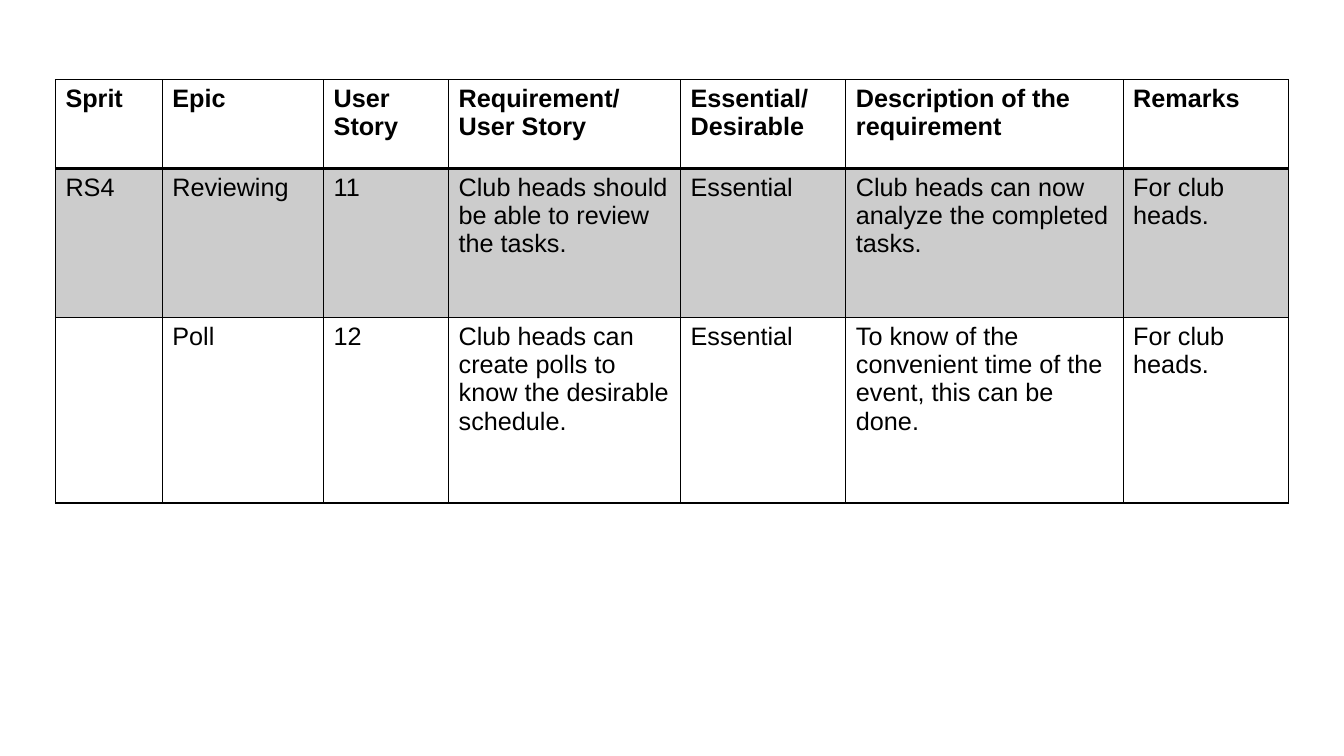
"""Build a slide with the sprint requirements table."""
from lxml import etree
from pptx import Presentation
from pptx.dml.color import RGBColor
from pptx.oxml.ns import qn
from pptx.util import Inches, Pt

BLACK = RGBColor(0x00, 0x00, 0x00)
WHITE = RGBColor(0xFF, 0xFF, 0xFF)
GRAY = RGBColor(0xCC, 0xCC, 0xCC)

COLUMN_WIDTHS = [1.06, 1.6, 1.24, 2.3, 1.64, 2.75, 1.64]
ROW_HEIGHTS = [0.88, 1.48, 1.84]
ROW_FILLS = [WHITE, GRAY, WHITE]
REQUIREMENTS = [
    ["Sprit", "Epic", "User Story", "Requirement/\nUser Story",
     "Essential/\nDesirable", "Description of the requirement", "Remarks"],
    ["RS4", "Reviewing", "11", "Club heads should be able to review the tasks.",
     "Essential", "Club heads can now analyze the completed tasks.",
     "For club heads."],
    ["", "Poll", "12",
     "Club heads can create polls to know the desirable schedule.",
     "Essential",
     "To know of the convenient time of the event, this can be done.",
     "For club heads."],
]


def add_border(cell, side, width):
    properties = cell._tc.get_or_add_tcPr()
    line = etree.SubElement(properties, qn(f"a:ln{side}"), w=str(Pt(width)))
    fill = etree.SubElement(line, qn("a:solidFill"))
    etree.SubElement(fill, qn("a:srgbClr"), val=str(BLACK))


def add_text(cell, text, bold):
    frame = cell.text_frame
    for index, line in enumerate(text.split("\n")):
        paragraph = frame.add_paragraph() if index else frame.paragraphs[0]
        run = paragraph.add_run()
        run.text = line
        run.font.name = "Arial"
        run.font.size = Pt(18)
        run.font.bold = bold
        run.font.color.rgb = BLACK


presentation = Presentation()
presentation.slide_width = Inches(13.33)
presentation.slide_height = Inches(7.5)
slide = presentation.slides.add_slide(presentation.slide_layouts[6])

table = slide.shapes.add_table(
    len(ROW_HEIGHTS), len(COLUMN_WIDTHS), Inches(0.55), Inches(0.79),
    Inches(sum(COLUMN_WIDTHS)), Inches(sum(ROW_HEIGHTS))).table
table.horz_banding = False
for column, width in zip(table.columns, COLUMN_WIDTHS):
    column.width = Inches(width)

for row_index, texts in enumerate(REQUIREMENTS):
    table.rows[row_index].height = Inches(ROW_HEIGHTS[row_index])
    is_header = row_index == 0
    for column_index, text in enumerate(texts):
        cell = table.cell(row_index, column_index)
        add_border(cell, "L", 1)
        add_border(cell, "R", 1)
        add_border(cell, "T", 2 if row_index == 1 else 1)
        add_border(cell, "B", 2 if is_header else 1)
        cell.fill.solid()
        cell.fill.fore_color.rgb = ROW_FILLS[row_index]
        if text:
            add_text(cell, text, is_header)

presentation.save("out.pptx")
